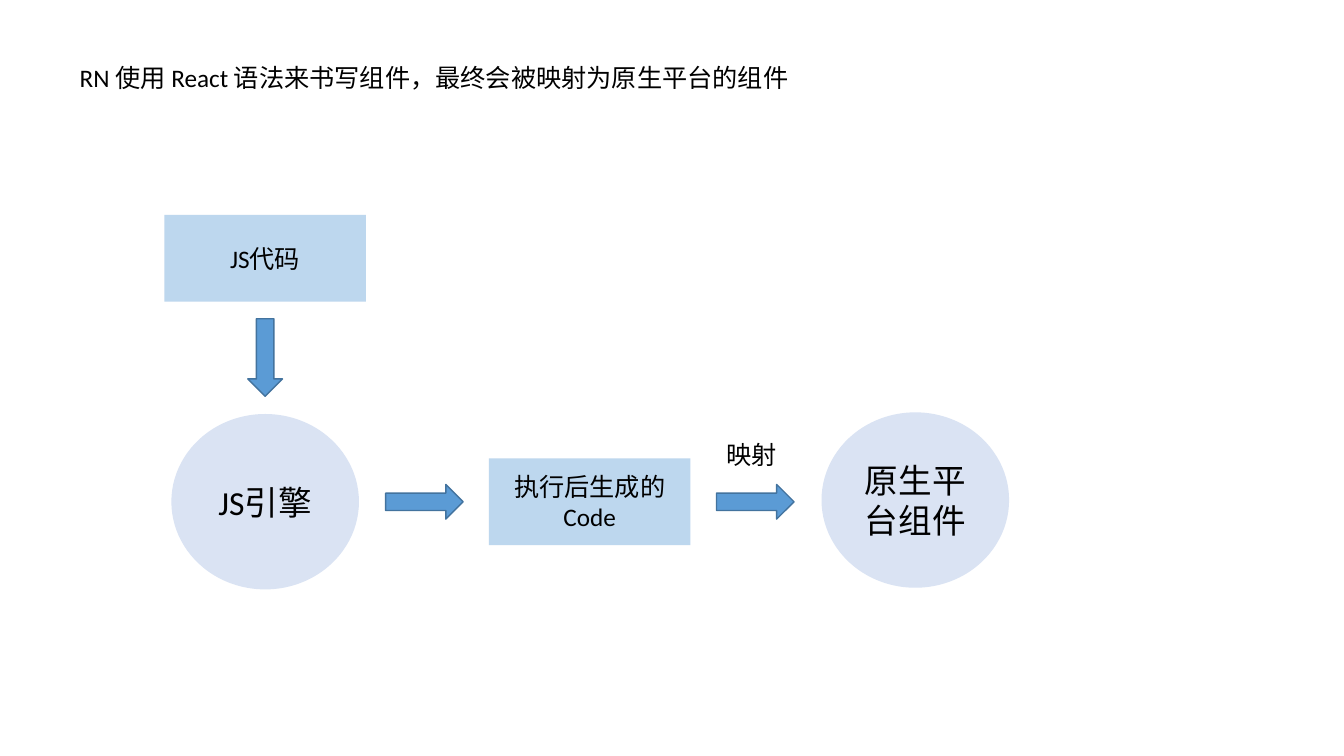
from pptx import Presentation
from pptx.dml.color import RGBColor
from pptx.enum.shapes import MSO_SHAPE
from pptx.enum.text import MSO_ANCHOR, MSO_AUTO_SIZE, PP_ALIGN
from pptx.util import Pt

RECTANGLE, OVAL, DOWN_ARROW = MSO_SHAPE.RECTANGLE, MSO_SHAPE.OVAL, MSO_SHAPE.DOWN_ARROW
TOP, MIDDLE = MSO_ANCHOR.TOP, MSO_ANCHOR.MIDDLE
LEFT, CENTER = PP_ALIGN.LEFT, PP_ALIGN.CENTER
NO_FIT, GROW = MSO_AUTO_SIZE.NONE, MSO_AUTO_SIZE.SHAPE_TO_FIT_TEXT

COLORS = {
    "text": "000000",
    "code": "BDD7EE",
    "platform": "DAE3F3",
    "arrow": "5B9BD5",
    "arrow_line": "43739E",
}
FONT = "Calibri"

TITLE = "RN 使用 React 语法来书写组件，最终会被映射为原生平台的组件"
MAPPING_LABEL = "映射"

KINDS = {
    "code": (RECTANGLE, 144, 62, 18),
    "platform": (OVAL, 134, 125.3, 24),
}
ARROW_WIDTH, ARROW_LENGTH = 24.8, 55.4
FIRST, SECOND, THIRD = 189.4, 421.2, 653.8
FLOW_ROW = 358.4

NODES = [
    ("JS引擎", "platform", FIRST, FLOW_ROW),
    ("JS代码", "code", FIRST, 184.5),
    ("执行后生成的Code", "code", SECOND, FLOW_ROW),
    ("原生平台组件", "platform", THIRD, 357.2),
]
ARROWS = [
    (FIRST, 255.4, 0),
    (303.2, FLOW_ROW, 270),
    (539.5, FLOW_ROW, 270),
]


def write(box, text, size, align, anchor, wrap, fit):
    frame = box.text_frame
    frame.text = text
    frame.word_wrap = wrap
    frame.auto_size = fit
    frame.vertical_anchor = anchor
    para = frame.paragraphs[0]
    para.alignment = align
    para.line_spacing = 1
    for span in para.runs:
        span.font.size = Pt(size)
        span.font.name = FONT
        span.font.color.rgb = RGBColor.from_string(COLORS["text"])


def add_centered(page, shape_type, center_x, center_y, width, height, color):
    shape = page.shapes.add_shape(
        shape_type, Pt(center_x - width / 2), Pt(center_y - height / 2), Pt(width), Pt(height)
    )
    shape.shadow.inherit = False
    shape.fill.solid()
    shape.fill.fore_color.rgb = RGBColor.from_string(COLORS[color])
    shape.line.fill.background()
    return shape


def add_node(page, text, kind, center_x, center_y):
    shape_type, width, height, size = KINDS[kind]
    node = add_centered(page, shape_type, center_x, center_y, width, height, kind)
    write(node, text, size, CENTER, MIDDLE, True, NO_FIT)


def add_arrow(page, center_x, center_y, rotation):
    arrow = add_centered(page, DOWN_ARROW, center_x, center_y, ARROW_WIDTH, ARROW_LENGTH, "arrow")
    arrow.rotation = rotation
    arrow.line.color.rgb = RGBColor.from_string(COLORS["arrow_line"])
    arrow.line.width = Pt(1)


def main():
    deck = Presentation()
    deck.slide_width, deck.slide_height = Pt(960), Pt(540)
    page = deck.slides.add_slide(deck.slide_layouts[5])

    title = page.shapes.title
    title.left, title.top, title.width, title.height = Pt(49.7), Pt(41), Pt(533.5), Pt(29)
    write(title, TITLE, 18, LEFT, TOP, False, GROW)

    for node in NODES:
        add_node(page, *node)
    for arrow in ARROWS:
        add_arrow(page, *arrow)

    label = page.shapes.add_textbox(Pt(512), Pt(310.3), Pt(50.4), Pt(29))
    write(label, MAPPING_LABEL, 18, LEFT, TOP, False, GROW)

    deck.save("out.pptx")


if __name__ == "__main__":
    main()
